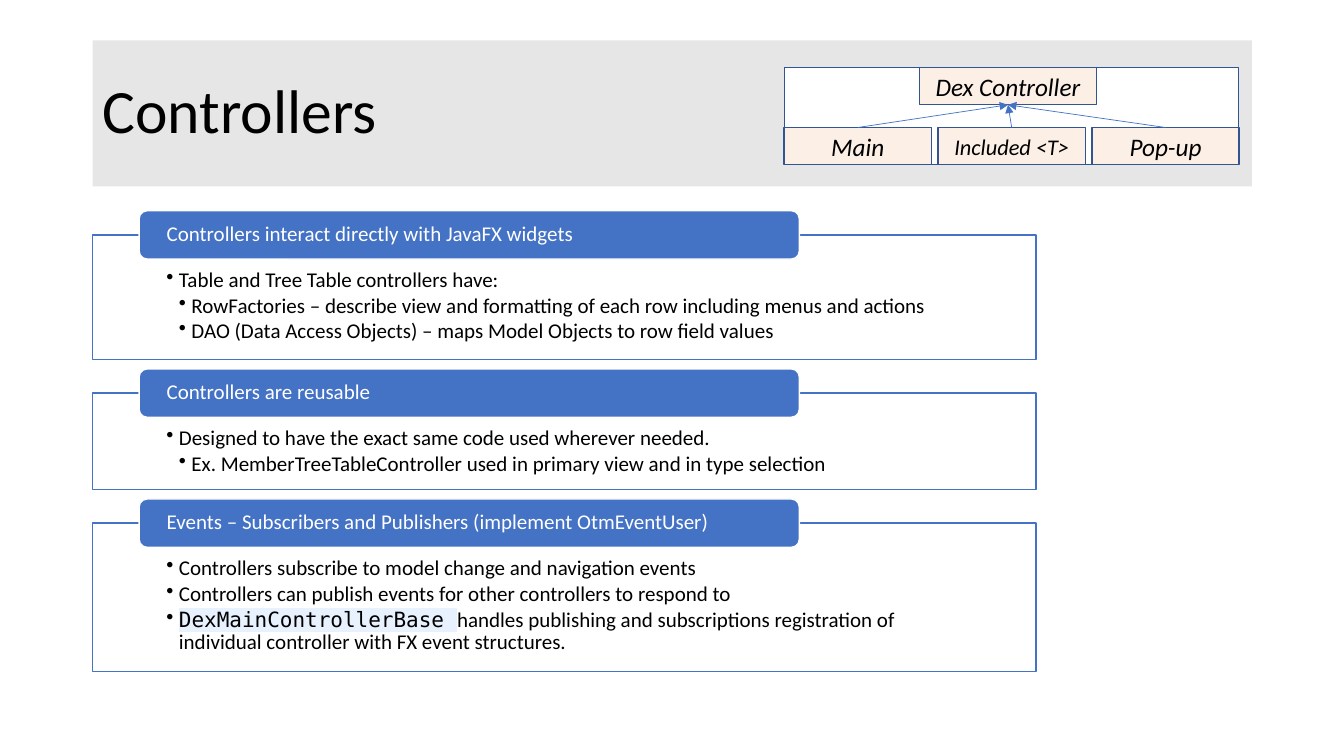
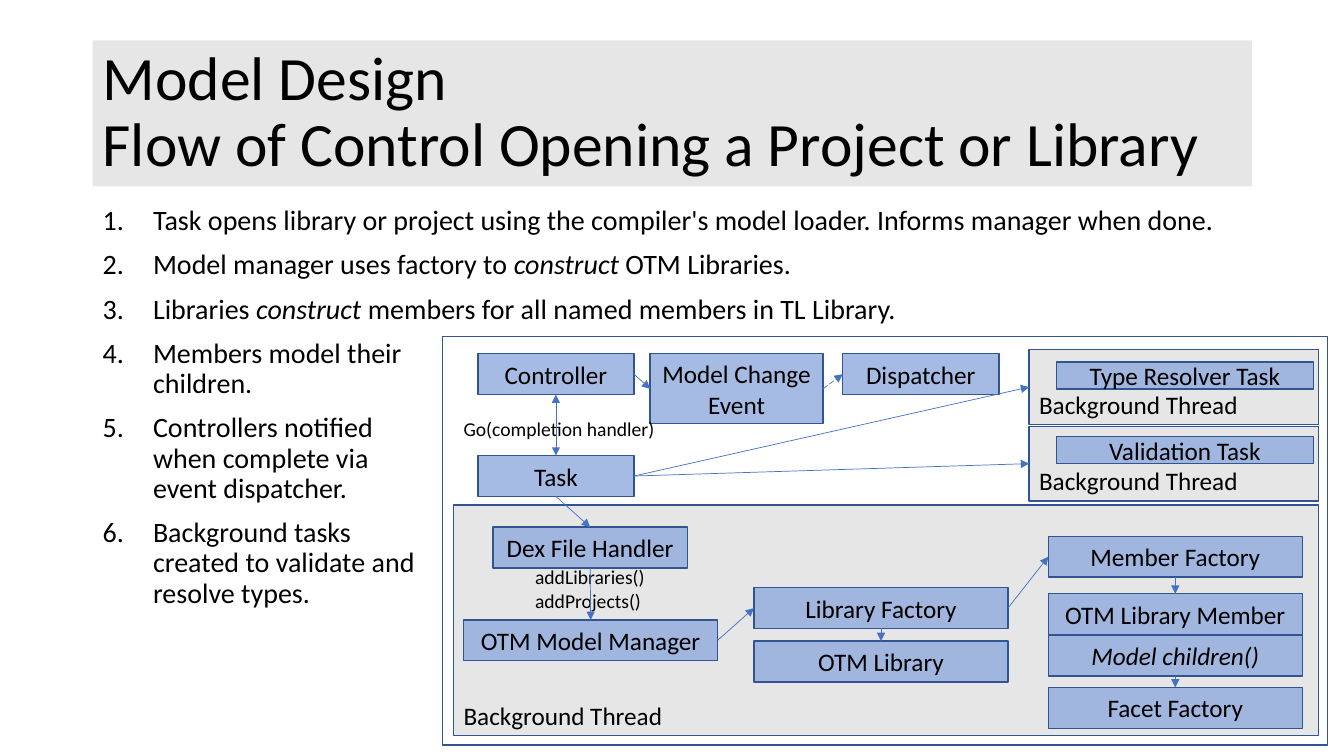
import lxml.etree
import pptx
import pptx.dml.color
import pptx.enum.dml
import pptx.enum.shapes
import pptx.enum.text
import pptx.oxml.ns
import pptx.util

SHAPE = pptx.enum.shapes.MSO_SHAPE
ALIGN = pptx.enum.text.PP_ALIGN
ANCHOR = pptx.enum.text.MSO_ANCHOR
CELL = 0.1
TOP, LEFT, BOTTOM, RIGHT = range(4)
COLORS = {"text": "000000", "paper": "FFFFFF", "band": "E7E6E6", "accent": "4472C4",
          "edge": "325491", "task": "8FAADC", "peach": "F8CBAD", "code": "E8F2FE"}


def cells(n):
    return pptx.util.Inches(n * CELL)


def rgb(name):
    return pptx.dml.color.RGBColor.from_string(COLORS[name])


def sub(parent, tag, **attrs):
    return lxml.etree.SubElement(parent, pptx.oxml.ns.qn(tag), attrs)


class Deck:
    """Style and current slide of a deck laid out on a grid of 0.1 inch cells."""

    def __init__(self):
        self.prs = pptx.Presentation()
        self.prs.slide_width = cells(133.33)
        self.prs.slide_height = cells(75)
        self.s = None

    def slide(self):
        self.s = self.prs.slides.add_slide(self.prs.slide_layouts[6])

    def title(self, *lines):
        band = self.box((9.2, 4, 115, 14.5), "band", None)
        self.fill_text(band, [{"runs": lines, "breaks": True}], size=44, spacing=0.9)

    def box(self, at, fill, line="edge", alpha=100, kind=SHAPE.RECTANGLE):
        sp = self.s.shapes.add_shape(kind, *map(cells, at))
        sp.shadow.inherit = False
        sp.fill.solid()
        sp.fill.fore_color.rgb = rgb(fill)
        if alpha < 100:
            color = sp._element.spPr.find(".//" + pptx.oxml.ns.qn("a:srgbClr"))
            sub(color, "a:alpha", val=str(alpha * 1000))
        if line:
            sp.line.color.rgb = rgb(line)
            sp.line.width = pptx.util.Pt(1)
        else:
            sp.line.fill.background()
        return sp

    def label(self, text, at, fill, alpha=100, size=18, italic=False):
        sp = self.box(at, fill, alpha=alpha)
        self.fill_text(sp, [text], size=size, italic=italic, align=ALIGN.CENTER)
        return sp

    def thread(self, at):
        sp = self.box(at, "band")
        self.fill_text(sp, ["Background Thread"], anchor=ANCHOR.BOTTOM)
        return sp

    def note(self, at, *lines):
        sp = self.s.shapes.add_textbox(*map(cells, at))
        self.fill_text(sp, lines, size=14, anchor=ANCHOR.TOP, wrap=False)

    def numbered(self, at, items):
        sp = self.s.shapes.add_textbox(*map(cells, at))
        self.fill_text(sp, items, size=20, anchor=ANCHOR.TOP, spacing=0.9, before=10,
                       bullet=("a:buAutoNum", {"type": "arabicPeriod"}), indents=[(5, -5)])

    def section(self, top, height, heading, items):
        panel = self.box((9.2, top, 93.6, height), "paper", "accent", alpha=90)
        self.fill_text(panel, items, size=15, anchor=ANCHOR.TOP, spacing=0.9, after=2.25,
                       insets=(7.3, 3.4, 7.3, 1.2), bullet=("a:buChar", {"char": "•"}),
                       indents=[(1.25, -1.25), (2.5, -1.25)])
        tab = self.box((13.8, top - 2.4, 65.5, 4.8), "accent", "paper",
                       kind=SHAPE.ROUNDED_RECTANGLE)
        self.fill_text(tab, [heading], size=15, color="paper", spacing=0.9,
                       insets=(2.5, 0, 2.5, 0))

    def fill_text(self, sp, items, size=18, color="text", italic=False, align=ALIGN.LEFT,
                  anchor=ANCHOR.MIDDLE, wrap=True, spacing=1.0, before=0, after=0,
                  insets=(1, 0.5, 1, 0.5), bullet=None, indents=()):
        tf = sp.text_frame
        frame = {"word_wrap": wrap, "vertical_anchor": anchor}
        sides = ("left", "top", "right", "bottom")
        frame.update({f"margin_{side}": cells(n) for side, n in zip(sides, insets)})
        for key, value in frame.items():
            setattr(tf, key, value)
        for i, item in enumerate(items):
            item = item if isinstance(item, dict) else {"runs": [item]}
            p = tf.paragraphs[0] if i == 0 else tf.add_paragraph()
            if bullet:
                left, first = indents[item.get("level", 0)]
                pPr = p._p.get_or_add_pPr()
                pPr.set("marL", str(cells(left)))
                pPr.set("indent", str(cells(first)))
                sub(pPr, bullet[0], **bullet[1])
            layout = {"alignment": align, "line_spacing": spacing,
                      "space_before": pptx.util.Pt(before if i else 0),
                      "space_after": pptx.util.Pt(after)}
            for key, value in layout.items():
                setattr(p, key, value)
            for j, part in enumerate(item["runs"]):
                if j and item.get("breaks"):
                    p.add_line_break()
                text, look = (part, {}) if isinstance(part, str) else part
                self.add_text(p, text, color, {"name": "Calibri", "size": pptx.util.Pt(size),
                                               "italic": italic, **look})

    def add_text(self, p, text, color, look):
        r = p.add_run()
        r.text = text
        r.font.color.rgb = rgb(color)
        mark = look.pop("mark", None)
        for key, value in look.items():
            setattr(r.font, key, value)
        if mark:
            rPr = r._r.get_or_add_rPr()
            highlight = sub(rPr, "a:highlight")
            sub(highlight, "a:srgbClr", val=COLORS[mark])
            rPr.find(pptx.oxml.ns.qn("a:solidFill")).addnext(highlight)

    def arrow(self, start, start_side, end, end_side, both=False, dashed=False):
        c = self.s.shapes.add_connector(pptx.enum.shapes.MSO_CONNECTOR.STRAIGHT, 0, 0, 0, 0)
        c.begin_connect(start, start_side)
        c.end_connect(end, end_side)
        c.line.color.rgb = rgb("accent")
        c.line.width = pptx.util.Pt(0.5)
        if dashed:
            c.line.dash_style = pptx.enum.dml.MSO_LINE.LONG_DASH
        ln = c._element.spPr.find(pptx.oxml.ns.qn("a:ln"))
        if both:
            sub(ln, "a:headEnd", type="triangle")
        sub(ln, "a:tailEnd", type="triangle")
        sub(c._element.spPr, "a:effectLst")


def controllers(d):
    d.slide()
    d.title("Controllers")
    code = {"name": "DejaVu Sans Mono", "mark": "code"}
    sections = [
        (12.4, "Controllers interact directly with JavaFX widgets", [
            "Table and Tree Table controllers have:",
            {"level": 1, "runs": ["RowFactories – describe view and formatting of each row "
                                  "including menus and actions"]},
            {"level": 1, "runs": ["DAO (Data Access Objects) – maps Model Objects to row "
                                  "field values"]}]),
        (9.6, "Controllers are reusable", [
            "Designed to have the exact same code used wherever needed.",
            {"level": 1, "runs": ["Ex. MemberTreeTableController used in primary view and in "
                                  "type selection"]}]),
        (14.7, "Events – Subscribers and Publishers (implement OtmEventUser)", [
            "Controllers subscribe to model change and navigation events",
            "Controllers can publish events for other controllers to respond to",
            {"runs": [("DexMainControllerBase ", code),
                      "handles publishing and subscriptions registration of individual "
                      "controller with FX event structures."]}]),
    ]
    top = 23.3
    for height, heading, items in sections:
        d.section(top, height, heading, items)
        top += height + 3.3

    d.box((77.8, 6.7, 45.1, 9.6), "paper")
    base = d.label("Dex Controller", (91.2, 6.7, 17.6, 3.7), "peach", 30, italic=True)
    for i, (name, size) in enumerate([("Main", 18), ("Included <T>", 16), ("Pop-up", 18)]):
        kind = d.label(name, (77.8 + 15.27 * i, 12.65, 14.6, 3.7), "peach", 30, size, True)
        d.arrow(kind, TOP, base, BOTTOM)


def model_design(d):
    d.slide()
    d.box((43.9, 33.4, 87.8, 40.5), "paper")
    resolving, validating = [d.thread((102.1, y, 28.7, 7.4)) for y in (34.7, 42.3)]
    d.thread((45, 50.1, 85.8, 22.9))
    d.title("Model Design", "Flow of Control Opening a Project or Library")
    construct = ("construct", {"italic": True})
    d.numbered((9.2, 20, 115, 47.6), [
        "Task opens library or project using the compiler's model loader. "
        "Informs manager when done.",
        {"runs": ["Model manager uses factory to ", construct, " OTM Libraries."]},
        {"runs": ["Libraries ", construct, " members for all named members in TL Library."]},
        {"runs": ["Members model their", "children."], "breaks": True},
        {"runs": ["Controllers notified", "when complete via", "event dispatcher."],
         "breaks": True},
        {"runs": ["Background tasks", "created to validate and", "resolve types."],
         "breaks": True}])

    steps = {}
    for name, x, y, w, h in [
            ("Controller", 47.4, 35.1, 15.5, 4.05),
            ("Model Change Event", 64.5, 35.1, 17.15, 6.95),
            ("Dispatcher", 83.6, 35.1, 15.5, 4.05),
            ("Task", 47.4, 45.2, 15.5, 4.05),
            ("Dex File Handler", 48.9, 52.3, 19.3, 4.05),
            ("OTM Model Manager", 46, 61.5, 25.2, 4.05),
            ("Library Factory", 74.8, 58.3, 25.2, 4.05),
            ("OTM Library", 74.8, 63.6, 25.2, 4.05),
            ("Member Factory", 104, 53.2, 25.2, 4.05),
            ("OTM Library Member", 104, 58.9, 25.2, 4.05),
            ("Model children()", 104, 63, 25.2, 4.05),
            ("Facet Factory", 104, 68.2, 25.2, 4.05),
            ("Type Resolver Task", 104.8, 35.9, 25.5, 2.7),
            ("Validation Task", 104.8, 43.3, 25.5, 2.7)]:
        steps[name] = d.label(name, (x, y, w, h), "task", 80, italic=name.endswith("()"))
    d.note((45, 40.9, 21.2, 3.4), "Go(completion handler)")
    d.note((52.1, 55.6, 13, 5.7), "addLibraries()", "addProjects()")

    d.arrow(steps["Controller"], BOTTOM, steps["Task"], TOP, both=True)
    d.arrow(steps["Model Change Event"], RIGHT, steps["Dispatcher"], LEFT, dashed=True)
    for start, end in [("Controller", "Model Change Event"),
                       ("OTM Model Manager", "Library Factory"),
                       ("Library Factory", "Member Factory")]:
        d.arrow(steps[start], RIGHT, steps[end], LEFT)
    for start, end in [("Task", "Dex File Handler"),
                       ("Dex File Handler", "OTM Model Manager"),
                       ("Library Factory", "OTM Library"),
                       ("Member Factory", "OTM Library Member"),
                       ("Model children()", "Facet Factory")]:
        d.arrow(steps[start], BOTTOM, steps[end], TOP)
    for thread in (resolving, validating):
        d.arrow(steps["Task"], RIGHT, thread, LEFT)


def main():
    d = Deck()
    controllers(d)
    model_design(d)
    d.prs.save("out.pptx")


if __name__ == "__main__":
    main()
